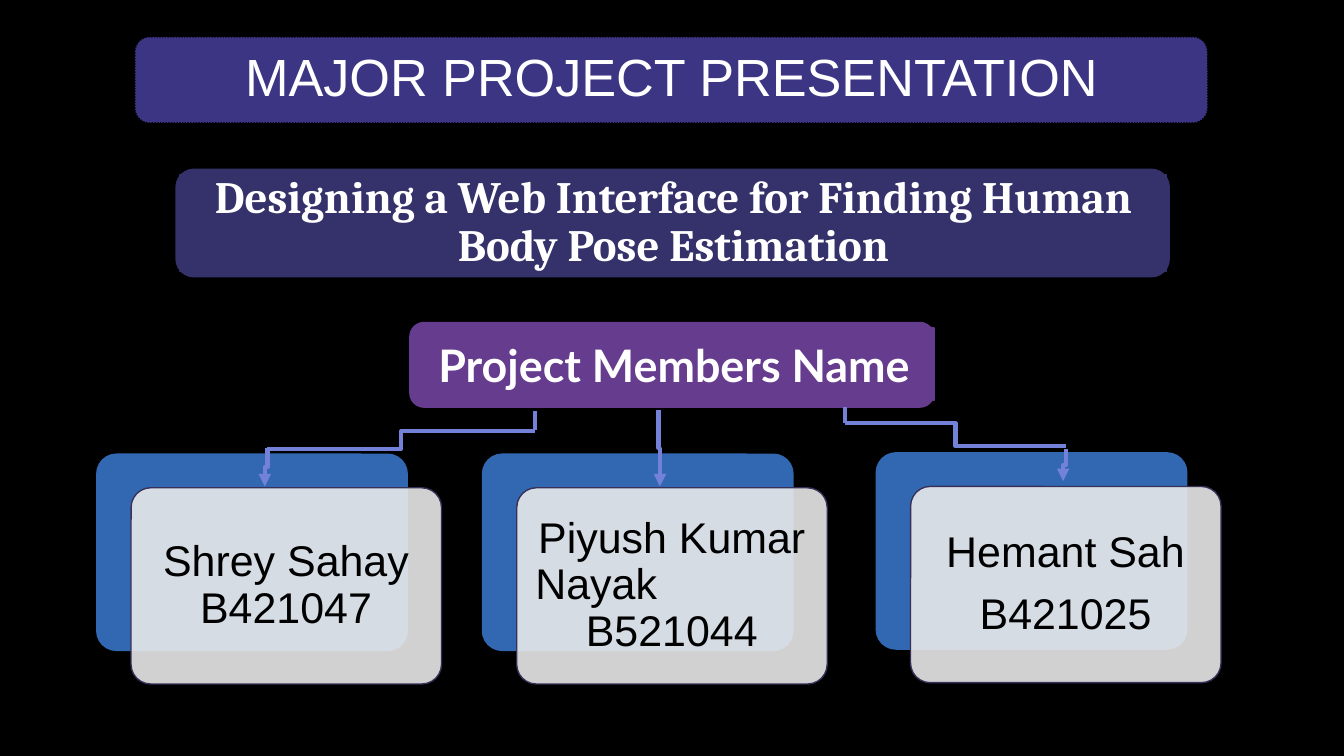
from lxml import etree
from pptx import Presentation
from pptx import util as u
from pptx.dml.color import RGBColor
from pptx.enum import dml, shapes, text
from pptx.oxml import ns

# Grid: 1000 columns of square cells on a 16:9 slide
SLIDE_WIDTH = u.Inches(10)
SLIDE_HEIGHT = SLIDE_WIDTH * 9 // 16
CELL = SLIDE_WIDTH // 1000

COLORS = {
    "background": "000000", "title": "3C3584", "topic": "35316A",
    "members": "663C8E", "card back": "3168B1", "card front": "EBEBEB",
    "card line": "383059", "arrow": "7381D9", "light": "FFFFFF", "dark": "000000",
}
CENTER, LEFT = text.PP_ALIGN.CENTER, text.PP_ALIGN.LEFT

# Content: panel color, outer box, inner box, line spacing, text, font
PANELS = [
    ("title", (101, 28, 797, 63), (150, 31, 699, 57), 0.9,
     "MAJOR PROJECT PRESENTATION", {"name": "Arial", "size": u.Pt(28)}),
    ("topic", (131, 126, 739, 80), (134, 130, 734, 72), 0.9,
     "Designing a Web Interface for Finding Human Body Pose Estimation",
     {"name": "Cambria", "size": u.Pt(24), "bold": True}),
    ("members", (305, 240, 390, 63), (308, 244, 387, 54), 1.0,
     "Project Members Name", {"name": "Lato", "size": u.Pt(24), "bold": True}),
]
# Card corner, then lines as (text, alignment, points before)
CARDS = [
    ((359, 338), [("Piyush Kumar", CENTER, 0), ("Nayak", LEFT, 0),
                  ("B521044", CENTER, 0)]),
    ((652, 337), [("Hemant Sah", CENTER, 0), ("B421025", CENTER, 8.1)]),
    ((72, 338), [("Shrey Sahay", CENTER, 0), ("B421047", CENTER, 0)]),
]
CARD_SIZE = (231, 146)
CARD_SHIFT = (25.5, 25)
TEXT_MARGIN = 4
CARD_FONT = {"name": "Arial", "size": u.Pt(23)}

# Connectors from the members panel to the cards
ARROWS = [((793, 334), (791, 358)), ((490, 305), (491, 362)), ((199, 333), (197, 362))]
ELBOWS = [((199, 334), (398, 321)), ((629, 315), (793, 332))]
STUBS = [((398, 306), (398, 320)), ((629, 315), (629, 303))]


def rgb(name):
    return RGBColor.from_string(COLORS[name])


def cells(*numbers):
    return [round(number * CELL) for number in numbers]


def add_box(slide, kind, box, fill, line, corner=None):
    shape = slide.shapes.add_shape(kind, *cells(*box))
    shape.shadow.inherit = False
    shape.fill.solid()
    shape.fill.fore_color.rgb = rgb(fill)
    shape.line.color.rgb = rgb(line)
    shape.line.width = u.Pt(0.75)
    if corner:
        shape.adjustments[0] = corner
    return shape


def write(shape, lines, font, color, spacing):
    frame = shape.text_frame
    settings = {"word_wrap": True, "vertical_anchor": text.MSO_ANCHOR.MIDDLE}
    settings.update({f"margin_{side}": u.Inches(0.1)
                     for side in ("left", "right", "top", "bottom")})
    for key, value in settings.items():
        setattr(frame, key, value)
    for index, (words, alignment, before) in enumerate(lines):
        paragraph = frame.add_paragraph() if index else frame.paragraphs[0]
        paragraph.alignment = alignment
        paragraph.line_spacing = spacing
        paragraph.space_before = u.Pt(before)
        run = paragraph.add_run()
        run.text = words
        for key, value in font.items():
            setattr(run.font, key, value)
        run.font.color.rgb = rgb(color)


def add_line(slide, kind, start, end):
    connector = slide.shapes.add_connector(kind, *cells(*start, *end))
    connector.line.color.rgb = rgb("arrow")
    connector.line.width = u.Pt(2.25)
    etree.SubElement(connector._element.spPr, ns.qn("a:effectLst"))
    return connector


def add_down_arrow(slide, start, end):
    """A vertical elbow is a horizontal one turned a quarter about its middle."""
    (x1, y1), (x2, y2) = start, end
    middle_x, middle_y = (x1 + x2) / 2, (y1 + y2) / 2
    half_x, half_y = (x2 - x1) / 2, (y2 - y1) / 2
    connector = add_line(slide, shapes.MSO_CONNECTOR.ELBOW,
                         (middle_x - half_y, middle_y + half_x),
                         (middle_x + half_y, middle_y - half_x))
    connector._element.spPr.find(ns.qn("a:xfrm")).set("rot", str(90 * 60000))
    line = connector._element.spPr.find(ns.qn("a:ln"))
    etree.SubElement(line, ns.qn("a:tailEnd"), type="triangle")


def main():
    presentation = Presentation()
    presentation.slide_width = SLIDE_WIDTH
    presentation.slide_height = SLIDE_HEIGHT
    slide = presentation.slides.add_slide(presentation.slide_layouts[6])
    slide.background.fill.solid()
    slide.background.fill.fore_color.rgb = rgb("background")
    rounded, rectangle = shapes.MSO_SHAPE.ROUNDED_RECTANGLE, shapes.MSO_SHAPE.RECTANGLE

    # Headings
    for color, outer, inner, spacing, words, font in PANELS:
        panel = add_box(slide, rounded, outer, color, color, 0.167)
        label = add_box(slide, rectangle, inner, color, color)
        if color == "title":
            for shape in (panel, label):
                shape.line.dash_style = dml.MSO_LINE.ROUND_DOT
        write(label, [(words, CENTER, 0)], font, "light", spacing)

    # Member cards
    for (left, top), lines in CARDS:
        add_box(slide, rounded, (left, top, *CARD_SIZE), "card back", "card back", 0.1)
        left, top = left + CARD_SHIFT[0], top + CARD_SHIFT[1]
        front = add_box(slide, rounded, (left, top, *CARD_SIZE),
                        "card front", "card line", 0.1)
        color = front._element.spPr.find(ns.qn("a:solidFill"))[0]
        etree.SubElement(color, ns.qn("a:alpha"), val="89000")
        width, height = (side - 2 * TEXT_MARGIN for side in CARD_SIZE)
        box = slide.shapes.add_textbox(
            *cells(left + TEXT_MARGIN, top + TEXT_MARGIN, width, height))
        write(box, lines, CARD_FONT, "dark", 0.9)

    # Arrows
    for start, end in ARROWS:
        add_down_arrow(slide, start, end)
    for kind, routes in ((shapes.MSO_CONNECTOR.ELBOW, ELBOWS),
                         (shapes.MSO_CONNECTOR.STRAIGHT, STUBS)):
        for start, end in routes:
            add_line(slide, kind, start, end)

    presentation.save("out.pptx")


if __name__ == "__main__":
    main()
